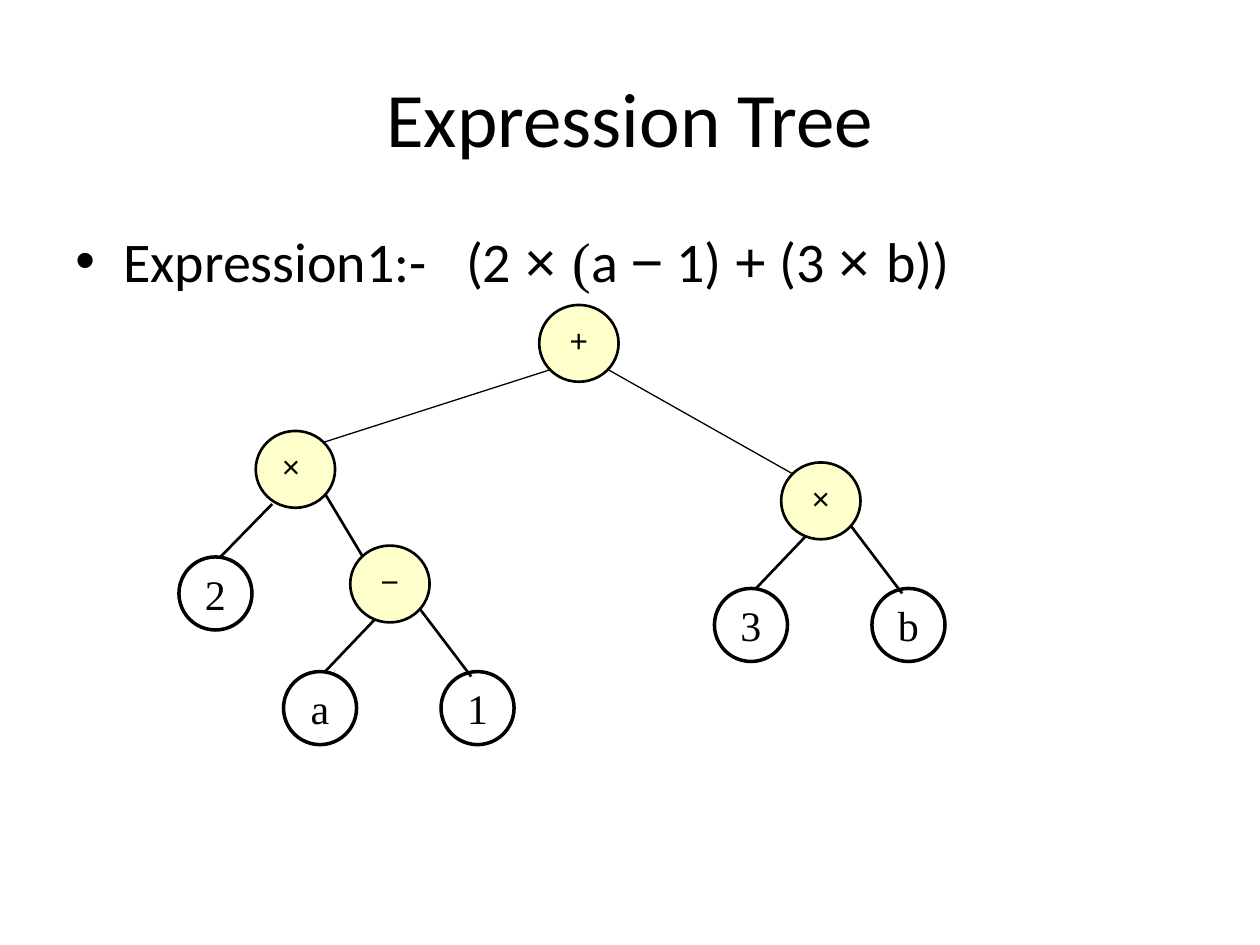
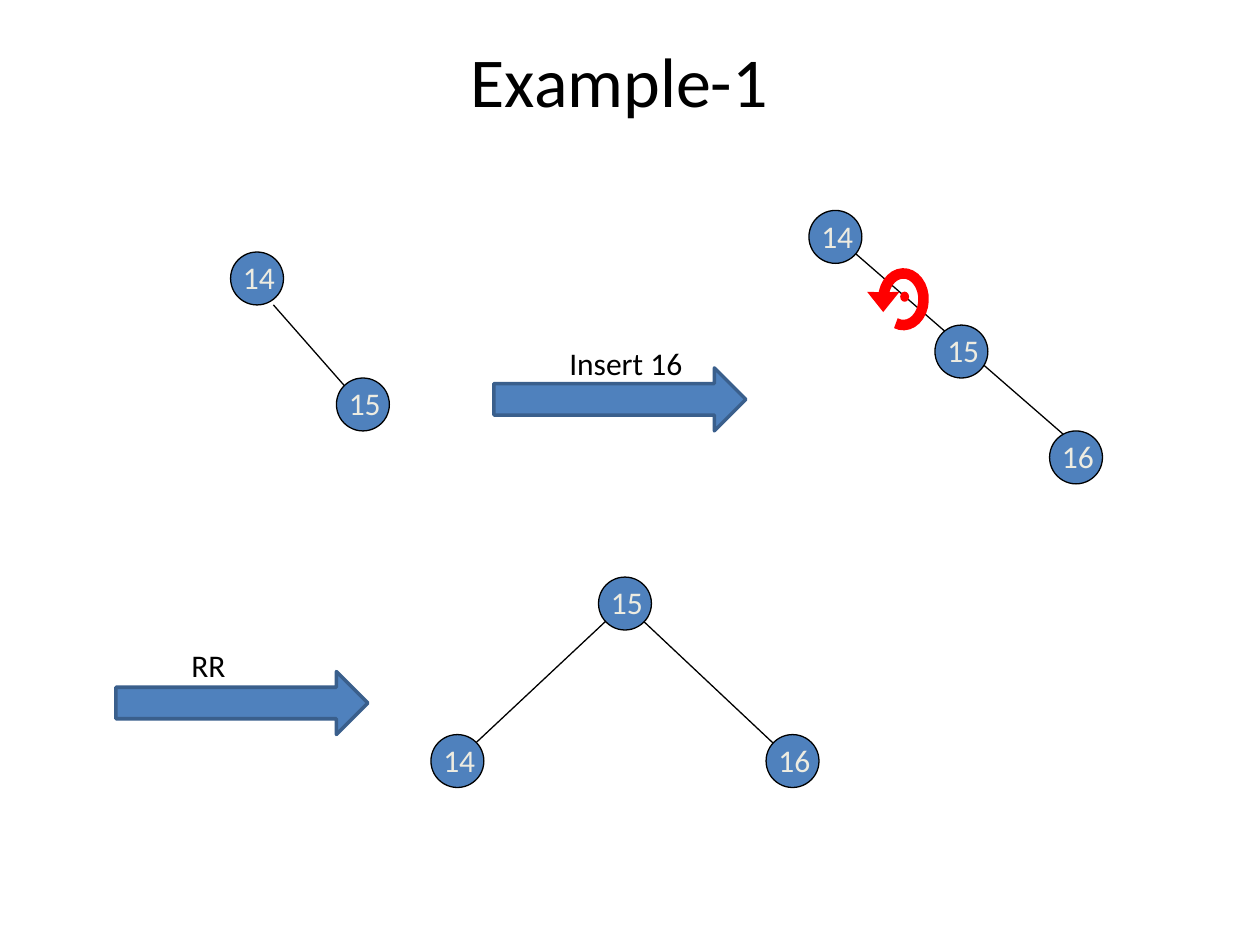
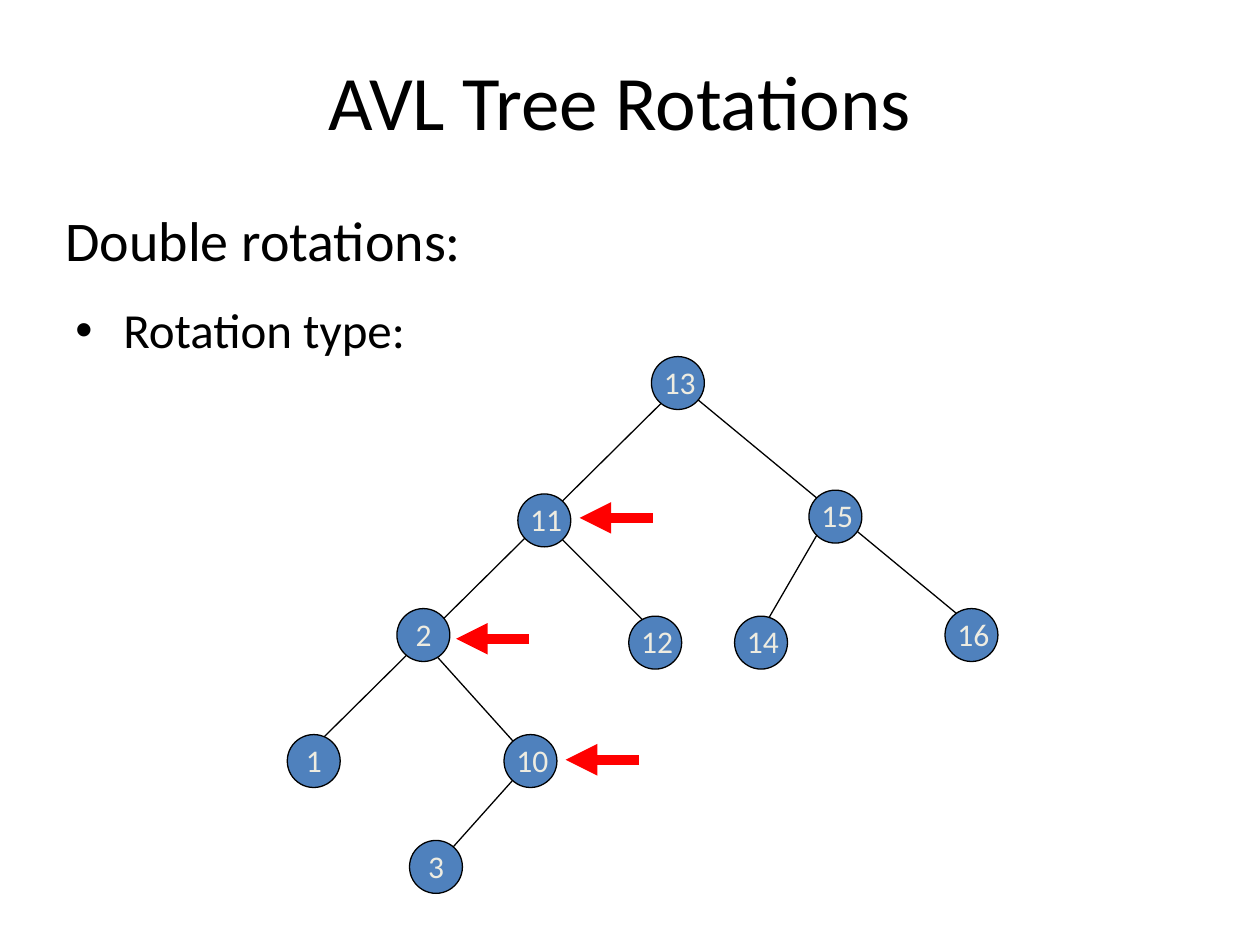
from dataclasses import dataclass
from math import cos, radians, sin

from lxml import etree
from pptx import Presentation
from pptx.dml.color import RGBColor
from pptx.enum.shapes import MSO_CONNECTOR, MSO_SHAPE
from pptx.enum.text import MSO_ANCHOR, PP_ALIGN
from pptx.oxml.ns import qn
from pptx.util import Inches, Pt

# Shared style
BLACK = RGBColor(0x00, 0x00, 0x00)
BLUE = RGBColor(0x4F, 0x81, 0xBD)
NAVY = RGBColor(0x3A, 0x5F, 0x8C)
CREAM = RGBColor(0xEE, 0xEC, 0xE1)
YELLOW = RGBColor(0xFF, 0xFF, 0xCC)
RED = RGBColor(0xFF, 0x00, 0x00)
SANS, SERIF, MATH = "Calibri", "Times New Roman", "Arial"
LEFT, CENTER = PP_ALIGN.LEFT, PP_ALIGN.CENTER
TOP, MIDDLE = MSO_ANCHOR.TOP, MSO_ANCHOR.MIDDLE
OVAL, ARROW = MSO_SHAPE.OVAL, MSO_SHAPE.RIGHT_ARROW
STRAIGHT = MSO_CONNECTOR.STRAIGHT
TITLE_ONLY = 5
NODE = 0.42
INSET = (0.1, 0.05, 0.1, 0.05)


@dataclass
class Node:
    text: str
    x: float
    y: float


@dataclass
class Edge:
    x1: float
    y1: float
    x2: float
    y2: float
    width: float = 0.75


@dataclass
class Part:
    text: str
    font: str = SANS


def write(frame, text, *, size=18, font=SANS, color=BLACK, align=LEFT,
          anchor=TOP, wrap=True, inset=INSET, hang=False, bullet=False) -> None:
    """Fill a frame with one paragraph, from a string or a list of parts."""
    frame.word_wrap = wrap
    frame.vertical_anchor = anchor
    (frame.margin_left, frame.margin_top,
     frame.margin_right, frame.margin_bottom) = map(Inches, inset)
    para = frame.paragraphs[0]
    para.alignment = align
    for part in [Part(text, font)] if isinstance(text, str) else text:
        run = para.add_run()
        run.text = part.text
        run.font.size = Pt(size)
        run.font.name = part.font
        run.font.color.rgb = color
    if hang:
        para.space_before = Pt(size * 0.2)
        props = para._p.get_or_add_pPr()
        props.set("marL", str(Inches(0.38)))
        props.set("indent", str(Inches(-0.38)))
        if bullet:
            etree.SubElement(props, qn("a:buFont"), typeface=MATH)
            etree.SubElement(props, qn("a:buChar"), char="•")


def add_slide(deck, title: str, box: tuple, size: int = 44):
    slide = deck.slides.add_slide(deck.slide_layouts[TITLE_ONLY])
    head = slide.shapes.title
    head.left, head.top, head.width, head.height = map(Inches, box)
    write(head.text_frame, title, size=size, align=CENTER, anchor=MIDDLE)
    return slide


def add_text(slide, box: tuple, text, **style) -> None:
    area = slide.shapes.add_textbox(*map(Inches, box))
    write(area.text_frame, text, **style)


def paint(shape, fill, line, width: float) -> None:
    shape.shadow.inherit = False
    if fill is None:
        shape.fill.background()
    else:
        shape.fill.solid()
        shape.fill.fore_color.rgb = fill
    shape.line.color.rgb = line
    shape.line.width = Pt(width)


def add_form(slide, kind, box: tuple, fill, line=BLACK, width: float = 0.75):
    shape = slide.shapes.add_shape(kind, *map(Inches, box))
    paint(shape, fill, line, width)
    return shape


def add_edge(slide, edge: Edge, color=BLACK, arrow: bool = False) -> None:
    ends = map(Inches, (edge.x1, edge.y1, edge.x2, edge.y2))
    line = slide.shapes.add_connector(STRAIGHT, *ends)
    line.line.color.rgb = color
    line.line.width = Pt(edge.width)
    if arrow:
        etree.SubElement(line.line._get_or_add_ln(), qn("a:tailEnd"), type="triangle")
    etree.SubElement(line._element.spPr, qn("a:effectLst"))


def add_tree(slide, edges: list[Edge], nodes: list[Node]) -> None:
    """Draw the edges, then blue nodes with their labels on top."""
    for edge in edges:
        add_edge(slide, edge)
    for node in nodes:
        add_form(slide, OVAL, (node.x, node.y, NODE, NODE), BLUE)
        shift = 0.05 if len(node.text) == 1 else 0
        add_text(slide, (node.x + shift, node.y, 0.5, 0.4), node.text, color=CREAM)


def add_sign(slide, node: Node) -> None:
    shape = add_form(slide, OVAL, (node.x, node.y, 0.63, 0.61), YELLOW, width=1.5)
    write(shape.text_frame, node.text, font=MATH, align=CENTER, anchor=MIDDLE,
          wrap=False, inset=(0, 0, 0, 0.05))


def add_leaf(slide, node: Node) -> None:
    shape = add_form(slide, OVAL, (node.x, node.y, 0.58, 0.58), None, width=2)
    write(shape.text_frame, node.text, size=24, font=SERIF, align=CENTER, anchor=MIDDLE)


def add_pair(slide, sign: Node, left: str, right: str) -> None:
    """Draw a sign with one leaf on either side below it."""
    x, y = sign.x, sign.y
    add_edge(slide, Edge(x - 0.2, y + 1, x + 0.21, y + 0.57, 1.5))
    add_edge(slide, Edge(x + 0.96, y + 1.04, x + 0.55, y + 0.5, 1.5))
    add_sign(slide, sign)
    add_leaf(slide, Node(left, x - 0.53, y + 1))
    add_leaf(slide, Node(right, x + 0.72, y + 1))


def add_turn(slide) -> None:
    """Draw the red turn arrow and the dot it turns about."""
    arc = [(7.17 + 0.16 * cos(radians(a)), 2.375 + 0.205 * sin(radians(a)))
           for a in range(184, 473, 12)]
    points = arc + arc[-2::-1] + [(6.97, 2.36), (7.01, 2.41), (7.05, 2.36)]
    (x, y), *rest = [(Inches(px), Inches(py)) for px, py in points]
    maker = slide.shapes.build_freeform(x, y)
    maker.add_line_segments(rest, close=True)
    shape = maker.convert_to_shape()
    paint(shape, RED, RED, 6)
    etree.SubElement(shape.line._get_or_add_ln(), qn("a:miter"), lim="800000")
    add_form(slide, OVAL, (7.15, 2.32, 0.06, 0.07), RED, RED)


def draw_terms(deck) -> None:
    slide = add_slide(deck, "Expression Tree", (0.5, 0.3, 9, 1.25))
    add_text(slide, (0.5, 1.75, 9, 4.95), [
        Part("Expression1:- \t (2 "), Part("× ", MATH), Part("(", SERIF),
        Part("a "), Part("−", MATH), Part(" 1) "), Part("+", MATH),
        Part(" (3 "), Part("× ", MATH), Part("b))"),
    ], size=32, hang=True, bullet=True)
    for edge in (Edge(2.57, 3.51, 4.38, 2.93), Edge(4.82, 2.93, 6.29, 3.76),
                 Edge(2.88, 4.42, 2.58, 3.92, 1.5), Edge(1.75, 4.42, 2.16, 4, 1.5)):
        add_edge(slide, edge)
    add_pair(slide, Node("×", 6.2, 3.67), "3", "b")
    add_pair(slide, Node("−", 2.78, 4.33), "a", "1")
    add_sign(slide, Node("× ", 2.03, 3.42))
    add_sign(slide, Node("+", 4.28, 2.42))
    add_leaf(slide, Node("2", 1.42, 4.42))


def draw_insert(deck) -> None:
    slide = add_slide(deck, "Example-1", (1.5, 0.25, 6.83, 0.77), 40)
    # Before, after the insert, after the turn
    add_tree(slide, [Edge(2.17, 2.42, 2.75, 3.08)],
             [Node("14", 1.83, 2), Node("15", 2.67, 3)])
    add_tree(slide, [Edge(6.58, 1.83, 8.5, 3.5)],
             [Node("14", 6.42, 1.67), Node("15", 7.42, 2.58), Node("16", 8.33, 3.42)])
    add_tree(slide, [Edge(3.58, 6.08, 5, 4.75), Edge(5, 4.83, 6.33, 6.08)],
             [Node("14", 3.42, 5.83), Node("15", 4.75, 4.58), Node("16", 6.08, 5.83)])
    # Steps
    for x, y in ((3.92, 2.92), (0.92, 5.33)):
        add_form(slide, ARROW, (x, y, 2, 0.5), BLUE, NAVY, 2)
    add_text(slide, (4.42, 2.68, 1.11, 0.4), "Insert 16", wrap=False)
    add_text(slide, (1.42, 5.08, 0.48, 0.4), "RR", wrap=False)
    add_turn(slide)


def draw_double(deck) -> None:
    slide = add_slide(deck, "AVL Tree Rotations", (0.67, 0.17, 8.5, 1.25))
    add_text(slide, (0.42, 1.58, 9.33, 0.67), "Double rotations:", size=32, hang=True)
    add_text(slide, (0.5, 2.33, 4.58, 0.67), "Rotation type:", size=28,
             hang=True, bullet=True)
    add_tree(slide, [
        Edge(4.17, 6.08, 3.5, 6.83), Edge(2.5, 5.92, 5.39, 3.06),
        Edge(3.35, 5.08, 4.25, 6.08), Edge(4.26, 4.08, 5.26, 5.08),
        Edge(6.58, 4.08, 6, 5.08), Edge(5.33, 3, 7.75, 5),
    ], [
        Node("13", 5.17, 2.83), Node("11", 4.11, 3.92), Node("15", 6.42, 3.89),
        Node("2", 3.15, 4.83), Node("12", 4.99, 4.89), Node("14", 5.83, 4.89),
        Node("16", 7.5, 4.83), Node("1", 2.28, 5.83), Node("10", 4, 5.83),
        Node("3", 3.25, 6.67),
    ])
    # Marks on the nodes that turn
    for x, y in ((4.6, 4.11), (3.62, 5.07), (4.49, 6.03)):
        add_edge(slide, Edge(x + 0.58, y, x, y, 6), RED, arrow=True)


def main() -> None:
    deck = Presentation()
    deck.slide_width, deck.slide_height = Inches(10), Inches(7.5)
    for draw in (draw_terms, draw_insert, draw_double):
        draw(deck)
    deck.save("out.pptx")


if __name__ == "__main__":
    main()
